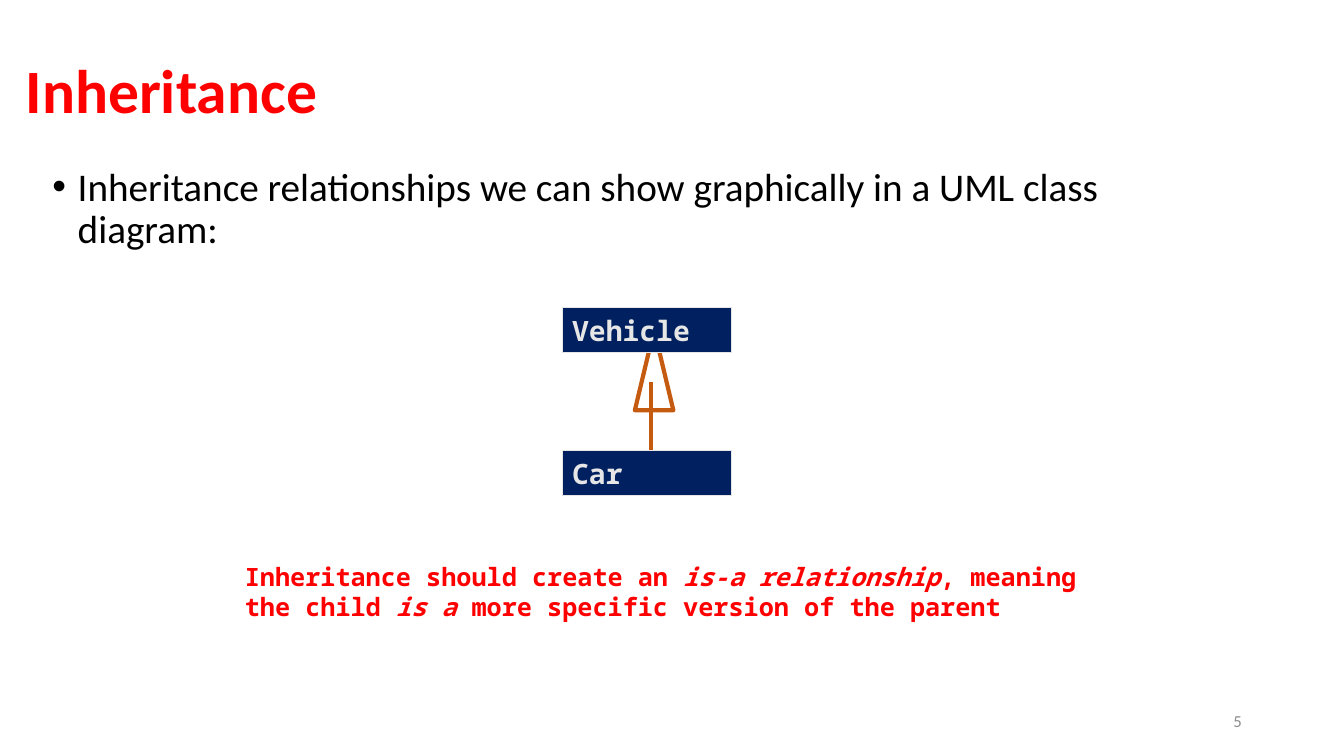
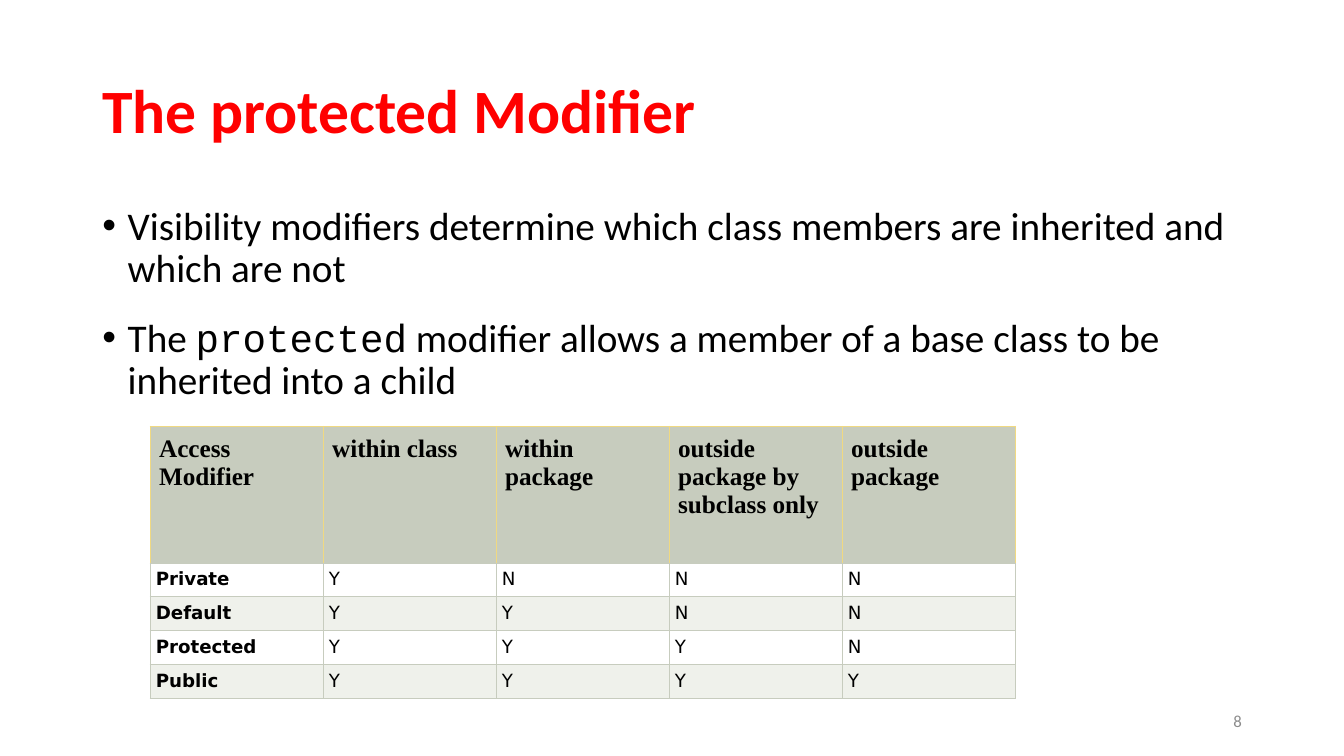
from dataclasses import dataclass

from lxml.etree import SubElement
from pptx import Presentation
from pptx.dml.color import RGBColor
from pptx.enum.shapes import MSO_CONNECTOR, MSO_SHAPE
from pptx.enum.text import MSO_ANCHOR, MSO_AUTO_SIZE, PP_ALIGN
from pptx.oxml.ns import qn
from pptx.util import Cm, Pt


@dataclass(frozen=True)
class Theme:
    red: str = "FF0000"
    black: str = "000000"
    grey: str = "8C8C8C"
    navy: str = "002060"
    pale: str = "E7E6E6"
    rust: str = "C55A11"
    sage: str = "C7CCBE"
    gold: str = "F0D982"
    white: str = "FFFFFF"
    tint: str = "EFF1EB"
    sans: str = "Calibri"
    mono: str = "Noto Sans Mono"
    code: str = "Courier New"
    serif: str = "Times New Roman"
    cell: str = "DejaVu Sans"


T = Theme()

# Text styles
TITLE = dict(name=T.sans, size=Pt(44), color=T.red, bold=True)
BODY = dict(name=T.sans, size=Pt(28), color=T.black)
NUMBER = dict(name=T.sans, size=Pt(12), color=T.grey)
NOTE = dict(name=T.mono, size=Pt(18), color=T.red, bold=True)
CLASS = dict(name=T.mono, size=Pt(20), color=T.pale, bold=True)
HEAD = dict(name=T.serif, size=Pt(18), color=T.black, bold=True)
CELL = dict(name=T.cell, size=Pt(13), color=T.black)
ITALIC = dict(italic=True)
CODE = dict(name=T.code)

# Content: a paragraph is a list of (text, format changes); places are in cm
PAGES = [
    dict(
        number="5",
        title="Inheritance", title_at=(0.4, 0, 31.14, 4.7),
        body_at=(1.07, 4.09, 27.71, 12.93), gap=Pt(10),
        body=[[("Inheritance relationships we can show graphically "
                "in a UML class diagram:", {})]],
    ),
    dict(
        number="8",
        title="The protected Modifier", title_at=(2.33, 1.01, 29.21, 3.69),
        body_at=(2.33, 5.07, 29.21, 12.09), gap=Pt(19.6),
        body=[
            [("Visibility modifiers determine which class members "
              "are inherited and which are not", {})],
            [("The ", {}), ("protected", CODE),
             (" modifier allows a member of a base class "
              "to be inherited into a child", {})],
        ],
    ),
]
REMARK = [
    ("Inheritance should create an ", {}),
    ("is-a relationship", ITALIC),
    (", meaning the child ", {}),
    ("is a", ITALIC),
    (" more specific version of the parent", {}),
]
CLASSES = [("Vehicle", 7.75), ("Car", 11.35)]
ACCESS = [
    ("Access Modifier", "within class", "within package",
     "outside package by subclass only", "outside package"),
    ("Private", "Y", "N", "N", "N"),
    ("Default", "Y", "Y", "N", "N"),
    ("Protected", "Y", "Y", "Y", "N"),
    ("Public", "Y", "Y", "Y", "Y"),
]


def place(at):
    return [Cm(value) for value in at]


def write(para, runs, style):
    for text, change in runs:
        run = para.add_run()
        run.text = text
        for key, value in {**style, **change}.items():
            if key == "color":
                run.font.color.rgb = RGBColor.from_string(value)
            else:
                setattr(run.font, key, value)


def add_text(shapes, at, paras, style, anchor=MSO_ANCHOR.TOP, **form):
    """Add a wrapped text box; form holds paragraph attributes."""
    frame = shapes.add_textbox(*place(at)).text_frame
    frame.word_wrap = True
    frame.vertical_anchor = anchor
    for i, runs in enumerate(paras):
        para = frame.add_paragraph() if i else frame.paragraphs[0]
        for key, value in form.items():
            setattr(para, key, value)
        write(para, runs, style)
    return frame


def add_bullet(para):
    props = para._p.get_or_add_pPr()
    indent = Cm(0.64)
    props.set("marL", str(indent))
    props.set("indent", str(-indent))
    SubElement(props, qn("a:buFont")).set("typeface", "Arial")
    SubElement(props, qn("a:buChar")).set("char", "•")


def set_line(line, color, width):
    line.color.rgb = RGBColor.from_string(color)
    line.width = Pt(width)


def set_fill(fill, color):
    fill.solid()
    fill.fore_color.rgb = RGBColor.from_string(color)


def add_page(deck, page):
    """Add a slide with its title, bullets and page number."""
    slide = deck.slides.add_slide(deck.slide_layouts[6])
    shapes = slide.shapes
    middle = MSO_ANCHOR.MIDDLE
    add_text(shapes, (23.93, 17.65, 7.62, 1.02), [[(page["number"], {})]],
             NUMBER, middle, alignment=PP_ALIGN.RIGHT)
    add_text(shapes, page["title_at"], [[(page["title"], {})]],
             TITLE, middle, line_spacing=0.9)
    body = add_text(shapes, page["body_at"], page["body"], BODY,
                    line_spacing=0.9, space_before=page["gap"])
    for para in body.paragraphs:
        add_bullet(para)
    return shapes


def add_diagram(shapes):
    group = shapes.add_group_shape().shapes
    stem = group.add_connector(MSO_CONNECTOR.STRAIGHT,
                               *place((16.41, 11.33, 16.41, 9.63)))
    set_line(stem.line, T.rust, 3)
    SubElement(stem._element.spPr, qn("a:effectLst"))

    arrow = group.add_shape(MSO_SHAPE.ISOSCELES_TRIANGLE,
                            *place((16, 8.31, 0.97, 2.03)))
    arrow.shadow.inherit = False
    arrow.fill.background()
    set_line(arrow.line, T.rust, 3)

    for name, top in CLASSES:
        box = group.add_shape(MSO_SHAPE.RECTANGLE,
                              *place((14.17, top, 4.27, 1.14)))
        box.shadow.inherit = False
        set_fill(box.fill, T.navy)
        set_line(box.line, T.pale, 1)
        para = box.text_frame.paragraphs[0]
        para.alignment = PP_ALIGN.LEFT
        write(para, [(name, {})], CLASS)


def set_borders(cell, colors):
    props = cell._tc.get_or_add_tcPr()
    for side, color in zip("LRTB", colors):
        edge = SubElement(props, qn(f"a:ln{side}"))
        edge.set("w", str(Pt(0.75)))
        fill = SubElement(edge, qn("a:solidFill"))
        SubElement(fill, qn("a:srgbClr")).set("val", color)


def add_access(shapes):
    """Add the table of access modifiers."""
    rows, cols = len(ACCESS), len(ACCESS[0])
    wide, tall, head = 4.36, 0.85, 3.45
    at = (3.78, 10.74, wide * cols, head + tall * (rows - 1))
    table = shapes.add_table(rows, cols, *place(at)).table
    table.first_row = table.horz_banding = False
    for col in table.columns:
        col.width = Cm(wide)
    for r, texts in enumerate(ACCESS):
        table.rows[r].height = Cm(tall if r else head)
        color = (T.white if r % 2 else T.tint) if r else T.sage
        edges = [T.sage if r else T.gold] * 3 + [T.sage]
        inset = Cm(0.15 if r else 0.23)
        for c, text in enumerate(texts):
            cell = table.cell(r, c)
            for side in ("left", "right", "top", "bottom"):
                setattr(cell, f"margin_{side}", inset)
            set_borders(cell, edges)
            set_fill(cell.fill, color)
            style = {**CELL, "bold": c == 0} if r else HEAD
            write(cell.text_frame.paragraphs[0], [(text, {})], style)


def main():
    deck = Presentation()
    deck.slide_width, deck.slide_height = Cm(33.87), Cm(19.05)
    first, second = [add_page(deck, page) for page in PAGES]
    note = add_text(first, (5.92, 14.02, 22.02, 1.8), [REMARK], NOTE)
    note.auto_size = MSO_AUTO_SIZE.SHAPE_TO_FIT_TEXT
    add_diagram(first)
    add_access(second)
    deck.save("out.pptx")


if __name__ == "__main__":
    main()
